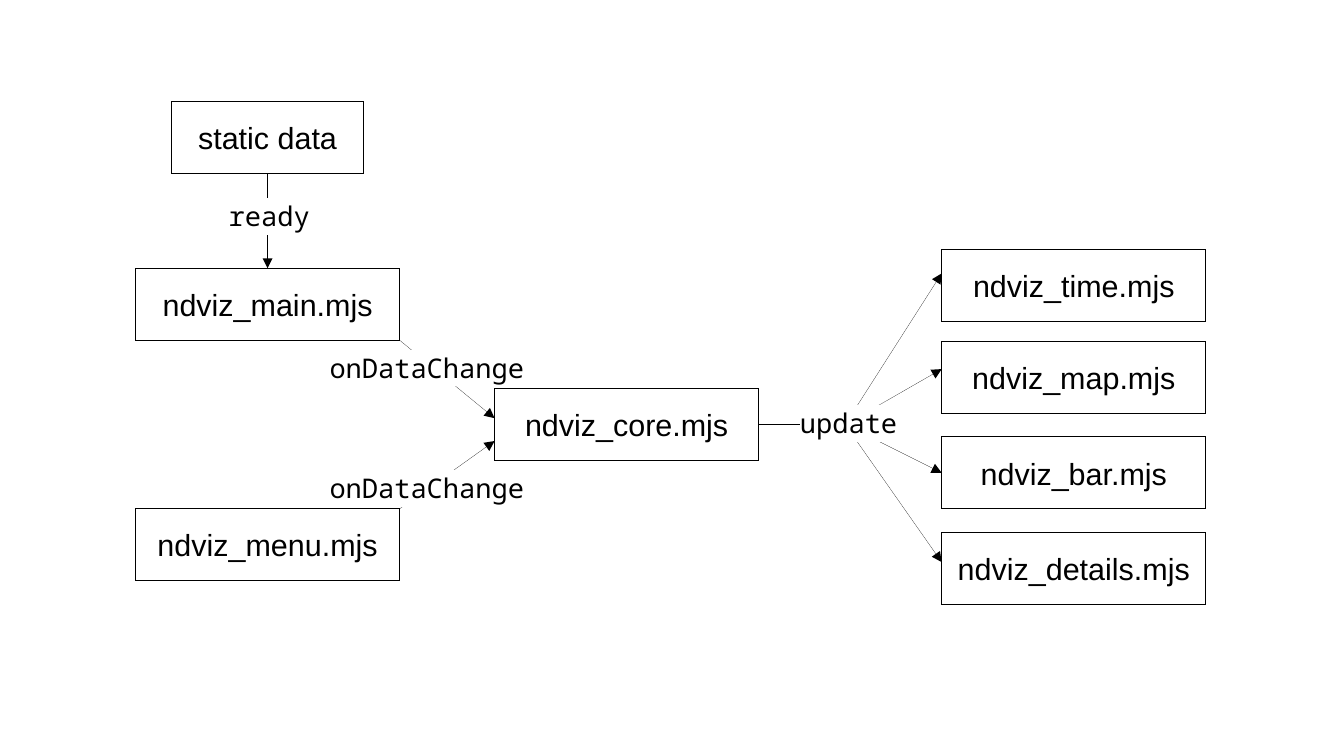
from collections import namedtuple

from lxml.etree import SubElement
from pptx import Presentation
from pptx.dml.color import RGBColor
from pptx.enum.shapes import MSO_CONNECTOR as Connector, MSO_SHAPE as Preset
from pptx.enum.text import MSO_ANCHOR as Anchor, MSO_AUTO_SIZE as AutoSize, PP_ALIGN as Align
from pptx.oxml.ns import qn
from pptx.util import Pt

COLORS = {"ink": "000000", "paper": "FFFFFF"}
NODE_FONT = {"name": "Arial", "size": Pt(18)}
EVENT_FONT = {"name": "Noto Sans Mono", "size": Pt(16)}
NODE_FRAME = {"vertical_anchor": Anchor.MIDDLE, "word_wrap": True}
EVENT_FRAME = {"word_wrap": False, "auto_size": AutoSize.SHAPE_TO_FIT_TEXT}
NODE_WIDTH, NODE_HEIGHT, EVENT_HEIGHT = 156, 42.5, 23
TOP, LEFT, BOTTOM, RIGHT = range(4)

Box = namedtuple("Box", "left top width height")


def color(name):
    return RGBColor.from_string(COLORS[name])


def apply(target, values):
    for name, value in values.items():
        setattr(target, name, value)


def set_hairline(line):
    line.color.rgb = color("ink")
    line._ln.set("w", "0")


def write(shape, text, font, frame):
    apply(shape.text_frame, frame)
    paragraph = shape.text_frame.paragraphs[0]
    paragraph.alignment = Align.CENTER
    run = paragraph.add_run()
    run.text = text
    run.font.color.rgb = color("ink")
    apply(run.font, font)
    return run


def add_node(slide, text, left, top, width=NODE_WIDTH):
    shape = slide.shapes.add_shape(
        Preset.RECTANGLE, Pt(left), Pt(top), Pt(width), Pt(NODE_HEIGHT))
    shape.shadow.inherit = False
    shape.fill.background()
    set_hairline(shape.line)
    write(shape, text, NODE_FONT, NODE_FRAME)
    return shape


def add_event(slide, text, center, middle, width):
    shape = slide.shapes.add_textbox(
        Pt(center - width / 2), Pt(middle - EVENT_HEIGHT / 2), Pt(width), Pt(EVENT_HEIGHT))
    run = write(shape, text, EVENT_FONT, EVENT_FRAME)
    properties = run.font._element
    highlight = SubElement(properties, qn("a:highlight"))
    SubElement(highlight, qn("a:srgbClr"), val=COLORS["paper"])
    properties.find(qn("a:solidFill")).addnext(highlight)


def add_link(slide, start, end, arrow=True):
    link = slide.shapes.add_connector(
        Connector.STRAIGHT, *(Pt(length) for length in (*start, *end)))
    set_hairline(link.line)
    if arrow:
        SubElement(link.line._ln, qn("a:tailEnd"), type="triangle")
    SubElement(link._element.spPr, qn("a:effectLst"))
    return link


def draw_sources(slide, box, core):
    center = box.left + NODE_WIDTH / 2
    right = box.left + NODE_WIDTH
    main_top = box.top + 98.5
    menu_top = box.top + box.height - NODE_HEIGHT
    data_width = 113
    data = add_node(slide, "static data", center - data_width / 2, box.top, data_width)
    main = add_node(slide, "ndviz_main.mjs", box.left, main_top)
    add_node(slide, "ndviz_menu.mjs", box.left, menu_top)

    ready = add_link(slide, (center, box.top + NODE_HEIGHT), (center, main_top))
    ready.begin_connect(data, BOTTOM)
    ready.end_connect(main, TOP)
    add_event(slide, "ready", center + 1, box.top + 66, 70)

    for start, end, middle in (
        (main_top + NODE_HEIGHT, core.top + 17.5, core.top - 14),
        (menu_top, core.top + 31, core.top + 57),
    ):
        add_link(slide, (right, start), (core.left, end))
        add_event(slide, "onDataChange", right + 16, middle, 134)


def draw_core(slide, box, hub):
    core = add_node(slide, "ndviz_core.mjs", box.left, box.top, box.width)
    right = (box.left + box.width, box.top + box.height / 2)
    trunk = add_link(slide, right, hub, arrow=False)
    trunk.begin_connect(core, RIGHT)


def draw_views(slide, box, hub):
    views = (
        ("ndviz_time.mjs", 0, 14),
        ("ndviz_map.mjs", 54, 16.5),
        ("ndviz_bar.mjs", 110.5, NODE_HEIGHT / 2),
        ("ndviz_details.mjs", box.height - NODE_HEIGHT, 17.5),
    )
    for text, offset, entry in views:
        top = box.top + offset
        view = add_node(slide, text, box.left, top, box.width)
        link = add_link(slide, hub, (box.left, top + entry))
        if entry == NODE_HEIGHT / 2:
            link.end_connect(view, LEFT)
    add_event(slide, "update", hub[0] + 2, hub[1] - 2.5, 76)


def main():
    presentation = Presentation()
    apply(presentation, {"slide_width": Pt(793.5), "slide_height": Pt(446.5)})
    slide = presentation.slides.add_slide(presentation.slide_layouts[6])
    core = Box(292, 229.5, NODE_WIDTH, NODE_HEIGHT)
    hub = (499, core.top + core.height / 2)
    draw_sources(slide, Box(80, 60, NODE_WIDTH, 283), core)
    draw_core(slide, core, hub)
    draw_views(slide, Box(556, 147.5, NODE_WIDTH, 209.5), hub)
    presentation.save("out.pptx")


if __name__ == "__main__":
    main()
